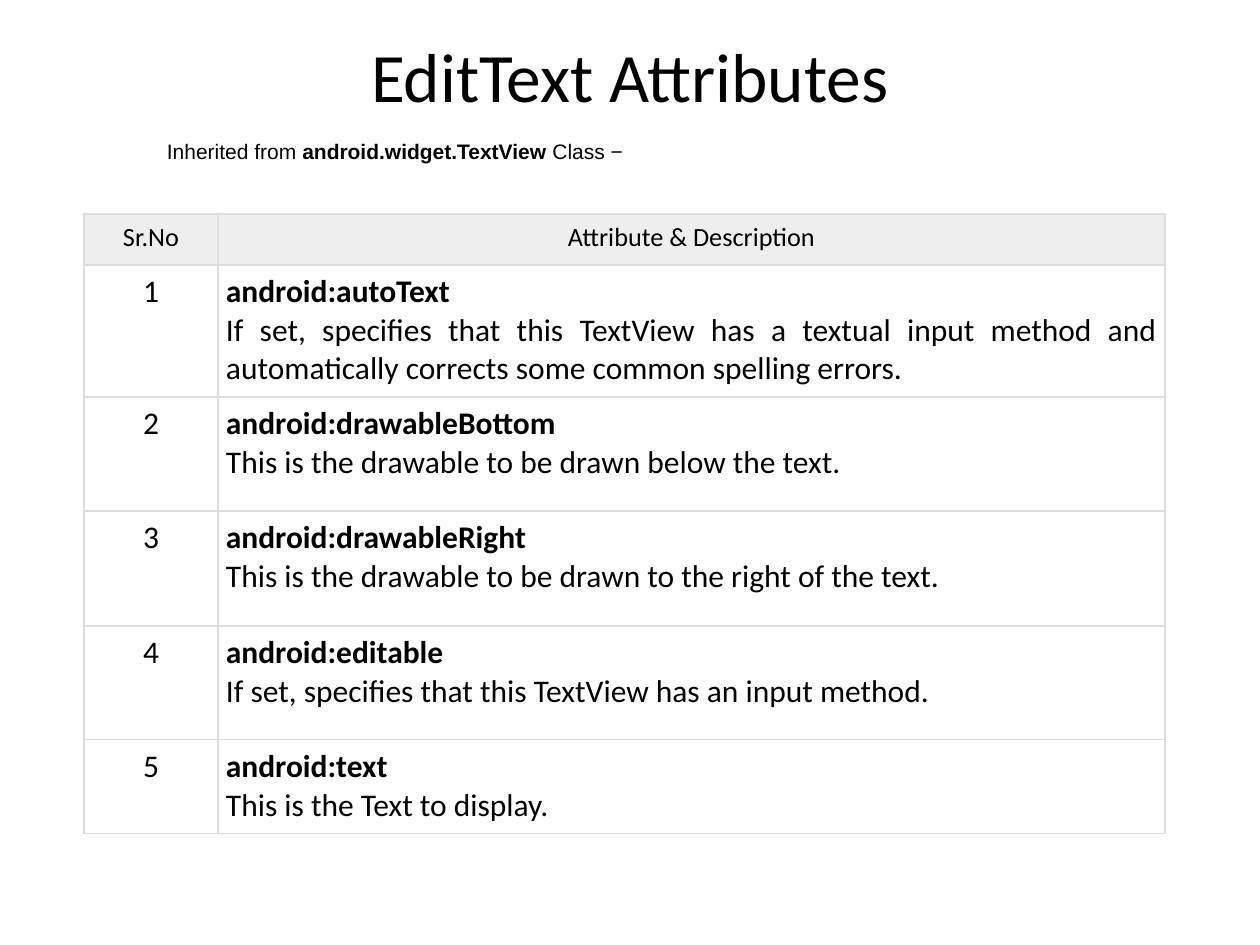
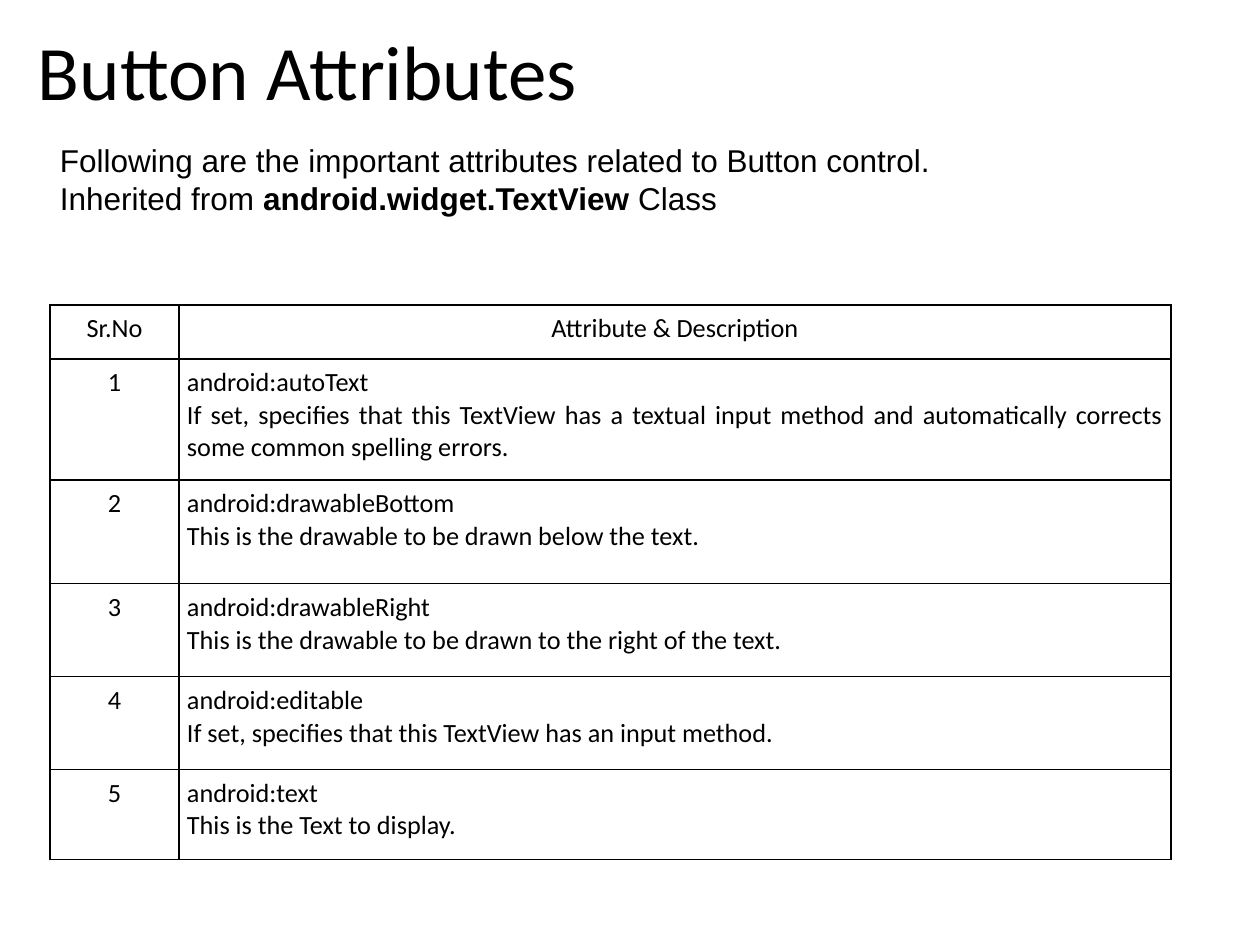
"""Builds two slides that list the attributes of input controls."""
from dataclasses import dataclass

from lxml import etree
from pptx import Presentation, util as u
from pptx.dml.color import RGBColor
from pptx.enum import text
from pptx.oxml import ns

ALIGN = text.PP_ALIGN
ANCHOR = text.MSO_ANCHOR
FIT = text.MSO_AUTO_SIZE


@dataclass(frozen=True)
class Theme:
    """Colours, fonts, type sizes and insets shared by the slides."""
    ink: str = "000000"
    pale_rule: str = "DDDDDD"
    header_fill: str = "EEEEEE"
    heading_font: str = "Calibri"
    note_font: str = "Arial"
    title_size: float = 39.6
    large_title_size: float = 44
    header_size: float = 15
    body_size: float = 18
    note_size: float = 12
    rule_width: float = 0.75
    cell_inset: int = 8
    box_insets: tuple = (13, 6, 13, 6)


THEME = Theme()
WIDGET_CLASS = ("android.widget.TextView", True)
HEADERS = ("Sr.No", "Attribute & Description")
ATTRIBUTES = (
    ("android:autoText", "If set, specifies that this TextView has a textual input method "
                         "and automatically corrects some common spelling errors."),
    ("android:drawableBottom", "This is the drawable to be drawn below the text."),
    ("android:drawableRight", "This is the drawable to be drawn to the right of the text."),
    ("android:editable", "If set, specifies that this TextView has an input method."),
    ("android:text", "This is the Text to display."),
)


def px(length):
    """Turn whole pixels into EMU at 126 pixels to the inch."""
    return u.Emu(round(length * 914400 / 126))


def apply(target, values):
    """Set each named attribute of the target."""
    for name, value in values.items():
        setattr(target, name, value)


def place(shape, area):
    """Move and size a shape from left, top, width and height."""
    apply(shape, dict(zip(("left", "top", "width", "height"), map(px, area))))


def margins(left, top, right, bottom):
    """Return the inset attributes of a text frame or cell."""
    return {"margin_left": px(left), "margin_top": px(top),
            "margin_right": px(right), "margin_bottom": px(bottom)}


def write(frame, lines, size, font, align):
    """Write lines, each a list of (words, bold) spans, into a text frame."""
    for index, line in enumerate(lines):
        para = frame.paragraphs[0] if index == 0 else frame.add_paragraph()
        para.alignment = align
        for words, bold in line:
            span = para.add_run()
            span.text = words
            apply(span.font, {"size": u.Pt(size), "name": font, "bold": bold})
            span.font.color.rgb = RGBColor.from_string(THEME.ink)


def add_titled_page(deck, title, area, size, align, top_inset=0):
    """Add a title-only slide and format its title."""
    page = deck.slides.add_slide(deck.slide_layouts[5])
    box = page.shapes.title
    place(box, area)
    side = THEME.box_insets[0]
    apply(box.text_frame, {"word_wrap": True, "auto_size": FIT.NONE,
                           "vertical_anchor": ANCHOR.TOP,
                           **margins(side, top_inset, side, 0)})
    write(box.text_frame, [[(title, False)]], size, THEME.heading_font, align)
    return page


def add_note(page, lines, area, size, anchor, fit):
    """Add the introductory text above a table."""
    box = page.shapes.add_textbox(*map(px, area))
    apply(box.text_frame, {"word_wrap": True, "auto_size": fit,
                           "vertical_anchor": anchor, **margins(*THEME.box_insets)})
    write(box.text_frame, lines, size, THEME.note_font, ALIGN.JUSTIFY)


def rule_cell(cell, color):
    """Draw a solid rule on the four sides of a cell."""
    properties = cell._tc.get_or_add_tcPr()
    for index, side in enumerate(("lnL", "lnR", "lnT", "lnB")):
        line = etree.Element(ns.qn(f"a:{side}"), w=str(u.Pt(THEME.rule_width)))
        fill = etree.SubElement(line, ns.qn("a:solidFill"))
        etree.SubElement(fill, ns.qn("a:srgbClr"), val=color)
        properties.insert(index, line)


def fill_cell(cell, lines, size, align, rule, fill=None):
    """Write, fill and rule one table cell."""
    apply(cell, {"vertical_anchor": ANCHOR.TOP, **margins(*[THEME.cell_inset] * 4)})
    write(cell.text_frame, lines, size, THEME.heading_font, align)
    if fill:
        cell.fill.solid()
        cell.fill.fore_color.rgb = RGBColor.from_string(fill)
    else:
        cell.fill.background()
    rule_cell(cell, rule)


def add_attribute_table(page, origin, widths, heights, size, rule,
                        header_fill=None, bold_names=False):
    """Add the numbered table of attributes and descriptions."""
    frame = page.shapes.add_table(len(heights), len(widths), *map(px, origin),
                                  px(sum(widths)), px(sum(heights)))
    table = frame.table
    apply(table, {"first_row": False, "horz_banding": False})
    for column, width in zip(table.columns, widths):
        column.width = px(width)
    for row, height in zip(table.rows, heights):
        row.height = px(height)
    for column, words in enumerate(HEADERS):
        fill_cell(table.cell(0, column), [[(words, False)]], THEME.header_size,
                  ALIGN.CENTER, rule, header_fill)
    for number, (name, description) in enumerate(ATTRIBUTES, start=1):
        fill_cell(table.cell(number, 0), [[(str(number), False)]], size,
                  ALIGN.CENTER, rule)
        fill_cell(table.cell(number, 1), [[(name, bold_names)], [(description, False)]],
                  size, ALIGN.JUSTIFY, rule)


def add_edit_text_page(deck):
    """Add the slide on EditText attributes."""
    page = add_titled_page(deck, "EditText Attributes", (63, 33, 1134, 158),
                           THEME.title_size, ALIGN.CENTER)
    add_attribute_table(page, (84, 214), (134, 947), (51, 132, 114, 115, 114, 94),
                        THEME.body_size, THEME.pale_rule, THEME.header_fill, True)
    add_note(page, [[("Inherited from ", False), WIDGET_CLASS, (" Class −", False)]],
             (154, 120, 1106, 63), THEME.note_size, ANCHOR.MIDDLE, FIT.NONE)


def add_button_page(deck):
    """Add the slide on Button attributes."""
    page = add_titled_page(deck, "Button Attributes", (25, 16, 1171, 199),
                           THEME.large_title_size, ALIGN.JUSTIFY, top_inset=7)
    add_attribute_table(page, (50, 305), (129, 992), (54, 121, 104, 93, 93, 90),
                        THEME.header_size, THEME.ink)
    add_note(page, [[("Following are the important attributes related to Button control.",
                      False)],
                    [("Inherited from ", False), WIDGET_CLASS, (" Class", False)]],
             (47, 135, 1126, 89), THEME.body_size, ANCHOR.TOP, FIT.SHAPE_TO_FIT_TEXT)


def main():
    """Build and save the deck."""
    deck = Presentation()
    apply(deck, {"slide_width": px(1260), "slide_height": px(945)})
    add_edit_text_page(deck)
    add_button_page(deck)
    deck.save("out.pptx")


if __name__ == "__main__":
    main()
